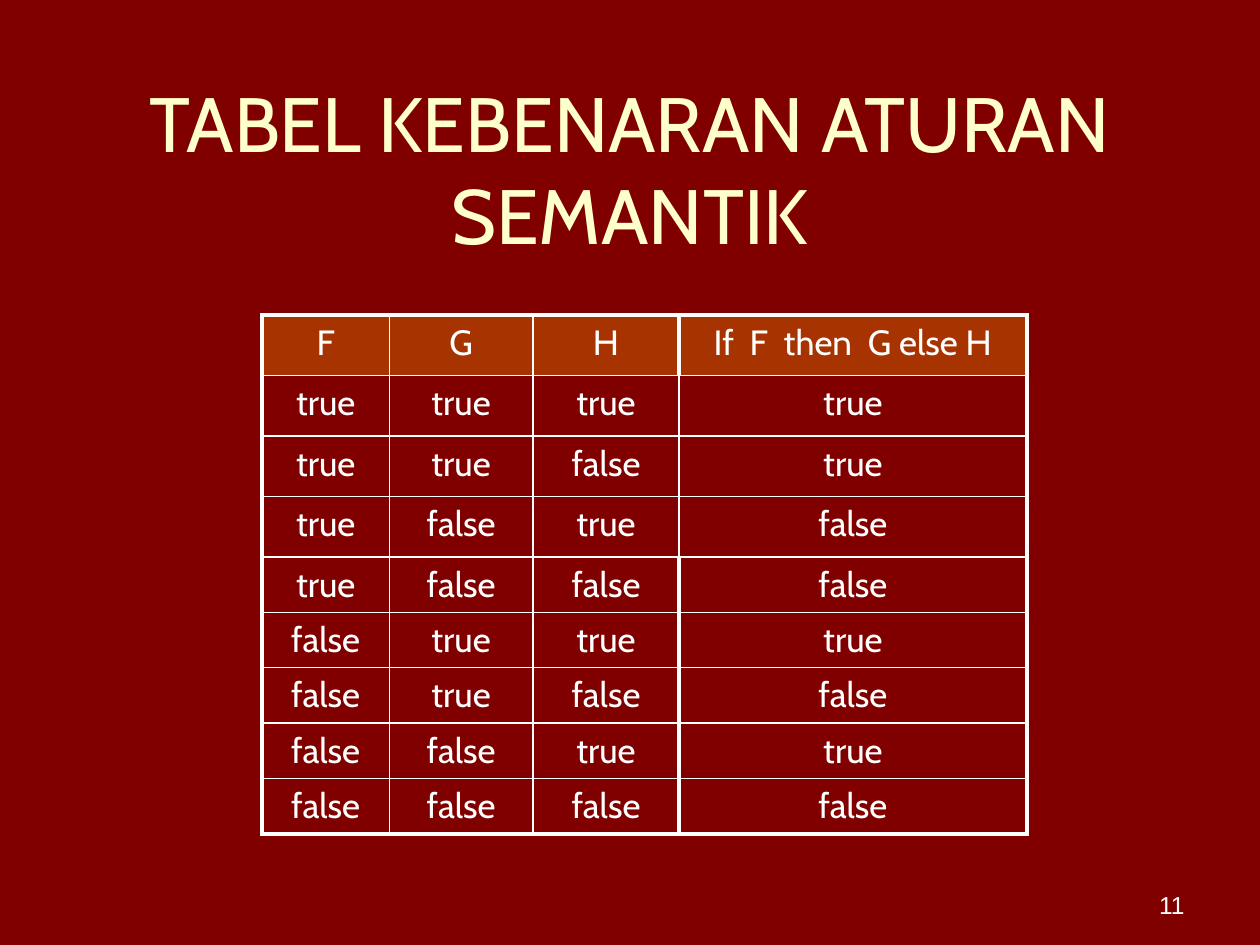
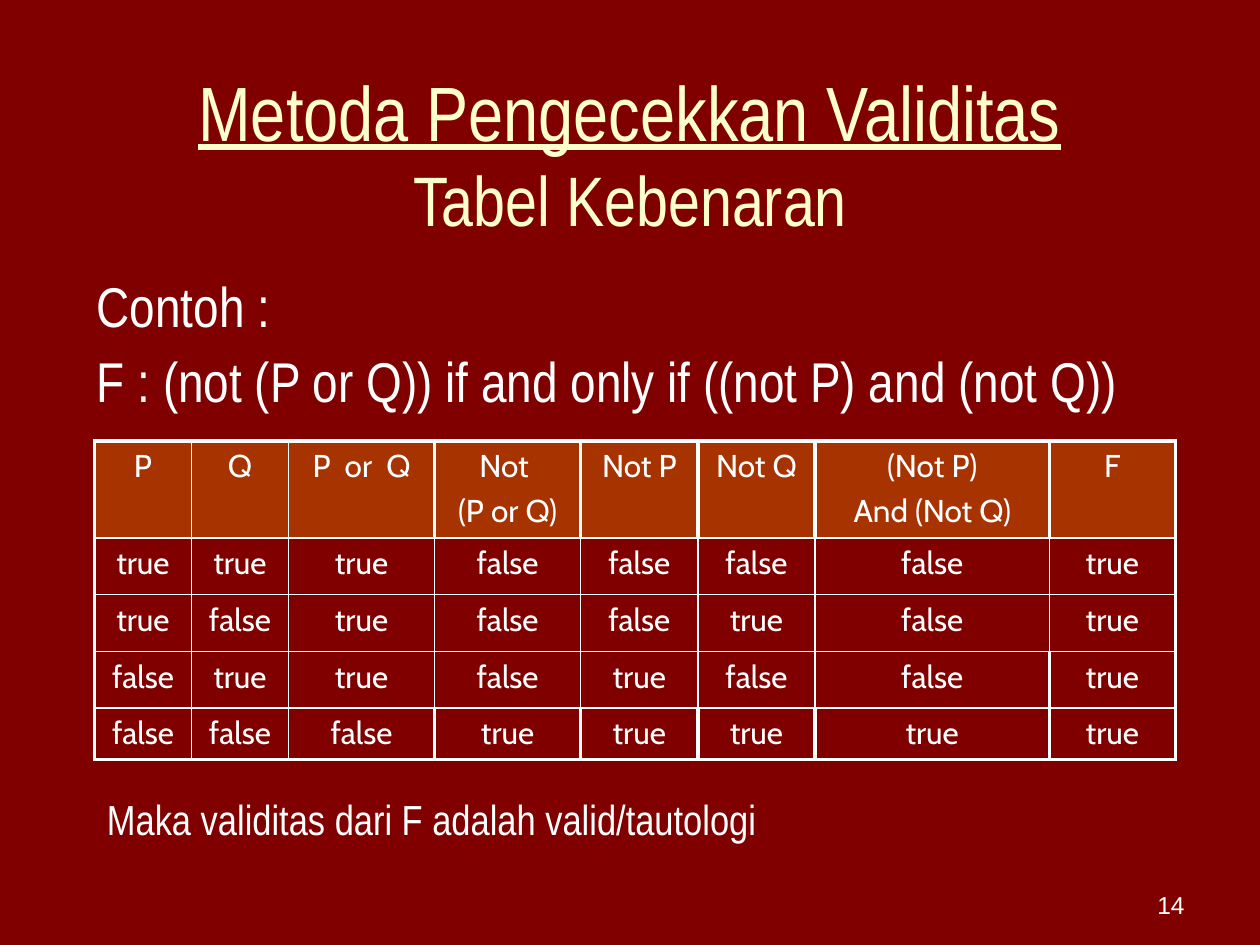
from itertools import product

from lxml.etree import SubElement
from pptx import Presentation
from pptx.dml.color import RGBColor
from pptx.enum.text import MSO_ANCHOR, MSO_AUTO_SIZE, PP_ALIGN
from pptx.oxml.ns import qn
from pptx.util import Inches, Pt

MAROON = RGBColor(0x80, 0x00, 0x00)
CREAM = RGBColor(0xFF, 0xFF, 0xCC)
WHITE = RGBColor(0xFF, 0xFF, 0xFF)
ORANGE = RGBColor(0xCC, 0x66, 0x00)
CABIN, NARROW, ARIAL = "Cabin", "Arial Narrow", "Arial"
THIN, THICK = Pt(1), Pt(2.25)


def add_run(p, text, size=20, font=CABIN, color=WHITE, underline=False):
    r = p.add_run()
    r.text = text
    r.font.size = Pt(size)
    r.font.name = font
    r.font.color.rgb = color
    r.font.underline = underline


def write(tf, text, align=PP_ALIGN.LEFT, gap=0, spacing=None, **style):
    """Write each line of text as a paragraph, with gap points between them."""
    for i, line in enumerate(text.split("\n")):
        p = tf.add_paragraph() if i else tf.paragraphs[0]
        p.alignment = align
        p.line_spacing = spacing
        if i:
            p.space_before = Pt(gap)
        add_run(p, line, **style)


def set_borders(cell, **widths):
    """Draw white cell edges; the keys are L, R, T and B."""
    tc_pr = cell._tc.get_or_add_tcPr()
    for side in "LRTB":
        ln = SubElement(tc_pr, qn(f"a:ln{side}"), w=str(int(widths[side])))
        fill = SubElement(ln, qn("a:solidFill"))
        SubElement(fill, qn("a:srgbClr"), val=str(WHITE))


def fill_header(cell):
    """Fill the cell with half-transparent orange."""
    cell.fill.solid()
    cell.fill.fore_color.rgb = ORANGE
    color = cell._tc.tcPr.find(qn("a:solidFill")).find(qn("a:srgbClr"))
    SubElement(color, qn("a:alpha"), val="50000")


def truth_rows(count, *formulas):
    """List every assignment of count variables, then the formula values."""
    rows = []
    for values in product((True, False), repeat=count):
        results = [formula(*values) for formula in formulas]
        rows.append([str(bool(v)).lower() for v in (*values, *results)])
    return rows


class Deck:
    def __init__(self):
        self.prs = Presentation()
        self.prs.slide_width, self.prs.slide_height = Inches(10), Inches(7.5)
        fill = self.prs.slide_master.background.fill
        fill.solid()
        fill.fore_color.rgb = MAROON
        self.s = None

    def add_slide(self, number):
        self.s = self.prs.slides.add_slide(self.prs.slide_layouts[5])
        self.text(str(number), 7.17, 6.83, 2.33, 0.52, anchor=MSO_ANCHOR.BOTTOM,
                  align=PP_ALIGN.RIGHT, size=14, font=ARIAL)

    def title(self, top, height, *lines):
        """Fill the title; each line is its text and its run format."""
        title = self.s.shapes.title
        title.left, title.top = Inches(0.5), Inches(top)
        title.width, title.height = Inches(9), Inches(height)
        tf = title.text_frame
        tf.auto_size = MSO_AUTO_SIZE.NONE
        tf.vertical_anchor = MSO_ANCHOR.MIDDLE
        p = tf.paragraphs[0]
        p.alignment = PP_ALIGN.CENTER
        for i, (text, style) in enumerate(lines):
            if i:
                p.add_line_break()
            add_run(p, text, color=CREAM, **style)

    def text(self, text, left, top, width, height, anchor=MSO_ANCHOR.TOP,
             wrap=True, **style):
        box = self.s.shapes.add_textbox(Inches(left), Inches(top),
                                        Inches(width), Inches(height))
        tf = box.text_frame
        tf.word_wrap = wrap
        tf.vertical_anchor = anchor
        write(tf, text, **style)

    def table(self, rows, left, top, widths, heights, thick_after, size):
        """thick_after maps a row to the columns that end in a thick edge."""
        last_row, last_col = len(rows) - 1, len(widths) - 1
        table = self.s.shapes.add_table(
            len(rows), len(widths), Inches(left), Inches(top),
            Inches(sum(widths)), Inches(sum(heights))).table
        table.first_row = table.horz_banding = False
        for column, width in zip(table.columns, widths):
            column.width = Inches(width)
        for i, (row, height) in enumerate(zip(rows, heights)):
            table.rows[i].height = Inches(height)
            thick = {-1, last_col, *thick_after.get(i, ())}
            for j, text in enumerate(row):
                cell = table.cell(i, j)
                set_borders(cell,
                            L=THICK if j - 1 in thick else THIN,
                            R=THICK if j in thick else THIN,
                            T=THICK if i == 0 else THIN,
                            B=THICK if i == last_row else THIN)
                if i == 0:
                    fill_header(cell)
                else:
                    cell.fill.background()
                write(cell.text_frame, text, align=PP_ALIGN.CENTER,
                      gap=size * 0.2, size=size)


def semantic_rule_slide(deck):
    deck.add_slide(11)
    deck.title(0.58, 1.5, ("TABEL KEBENARAN ATURAN SEMANTIK", {"size": 44}))
    header = ["F", "G", "H", "If  F  then  G else H"]
    rows = truth_rows(3, lambda f, g, h: g if f else h)
    deck.table([header] + rows, 2.08, 2.5,
               widths=[1.01, 1.14, 1.16, 2.76],
               heights=[0.48] * 4 + [0.44] * 5,
               thick_after={i: [2] for i in (0, 4, 5, 6, 7, 8)}, size=20)


def validity_slide(deck):
    deck.add_slide(14)
    deck.title(0.42, 1.58,
               ("Metoda Pengecekkan Validitas",
                {"size": 44, "font": NARROW, "underline": True}),
               ("Tabel Kebenaran", {"size": 40, "font": NARROW}))
    deck.text("Contoh :\nF : (not (P or Q)) if and only if ((not P) and (not Q))",
              0.67, 2.17, 8.83, 1.33, gap=8, spacing=0.9, size=32, font=NARROW)
    header = ["P", "Q", "P  or  Q", "Not \n(P or Q)", "Not P", "Not Q",
              "(Not P)\nAnd (Not Q)", "F"]
    rows = truth_rows(2,
                      lambda p, q: p or q,
                      lambda p, q: not (p or q),
                      lambda p, q: not p,
                      lambda p, q: not q,
                      lambda p, q: not p and not q,
                      lambda p, q: (not (p or q)) == (not p and not q))
    deck.table([header] + rows, 0.75, 3.5,
               widths=[0.77, 0.77, 1.16, 1.16, 0.93, 0.93, 1.86, 1],
               heights=[0.77, 0.45, 0.45, 0.45, 0.41],
               thick_after={0: range(2, 7), 3: [6], 4: range(2, 7)}, size=18)
    deck.text("Maka validitas dari F adalah valid/tautologi",
              0.75, 6.25, 5.42, 0.5, wrap=False, size=24, font=NARROW)


def main():
    deck = Deck()
    semantic_rule_slide(deck)
    validity_slide(deck)
    deck.prs.save("out.pptx")


if __name__ == "__main__":
    main()
